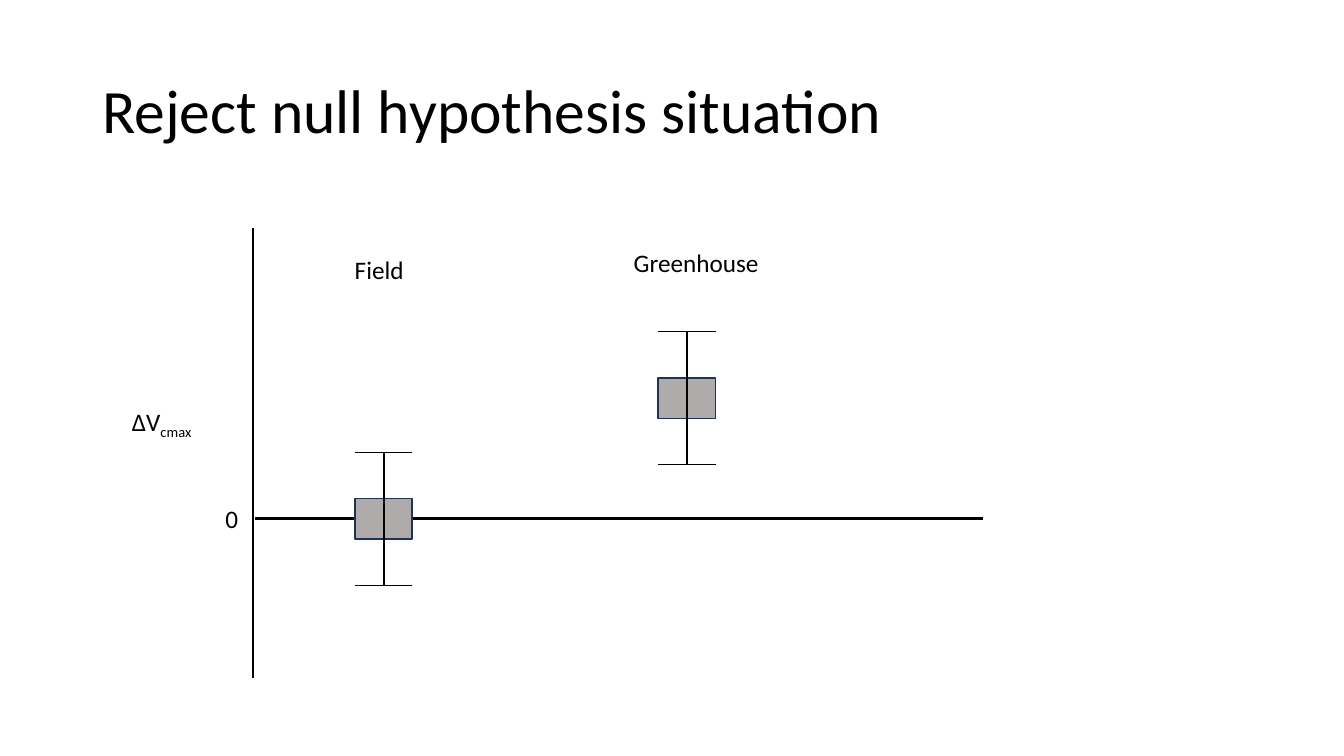
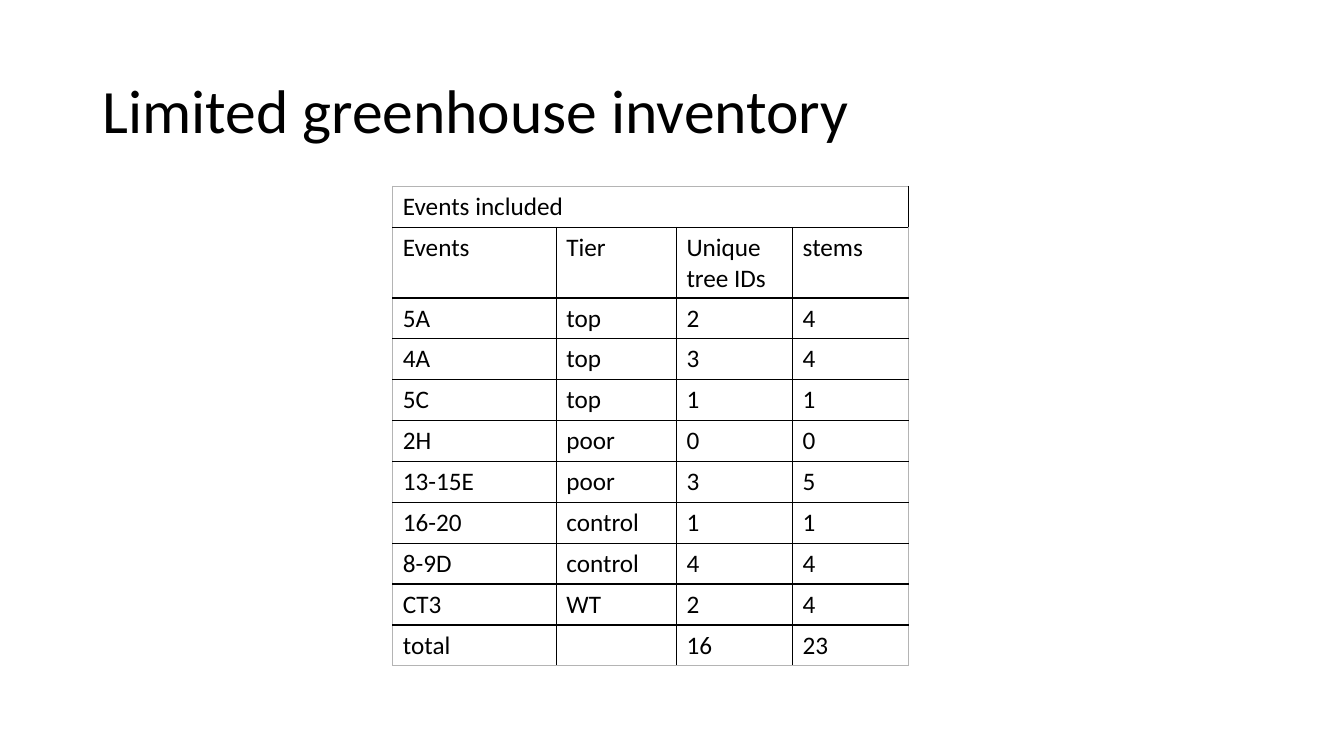
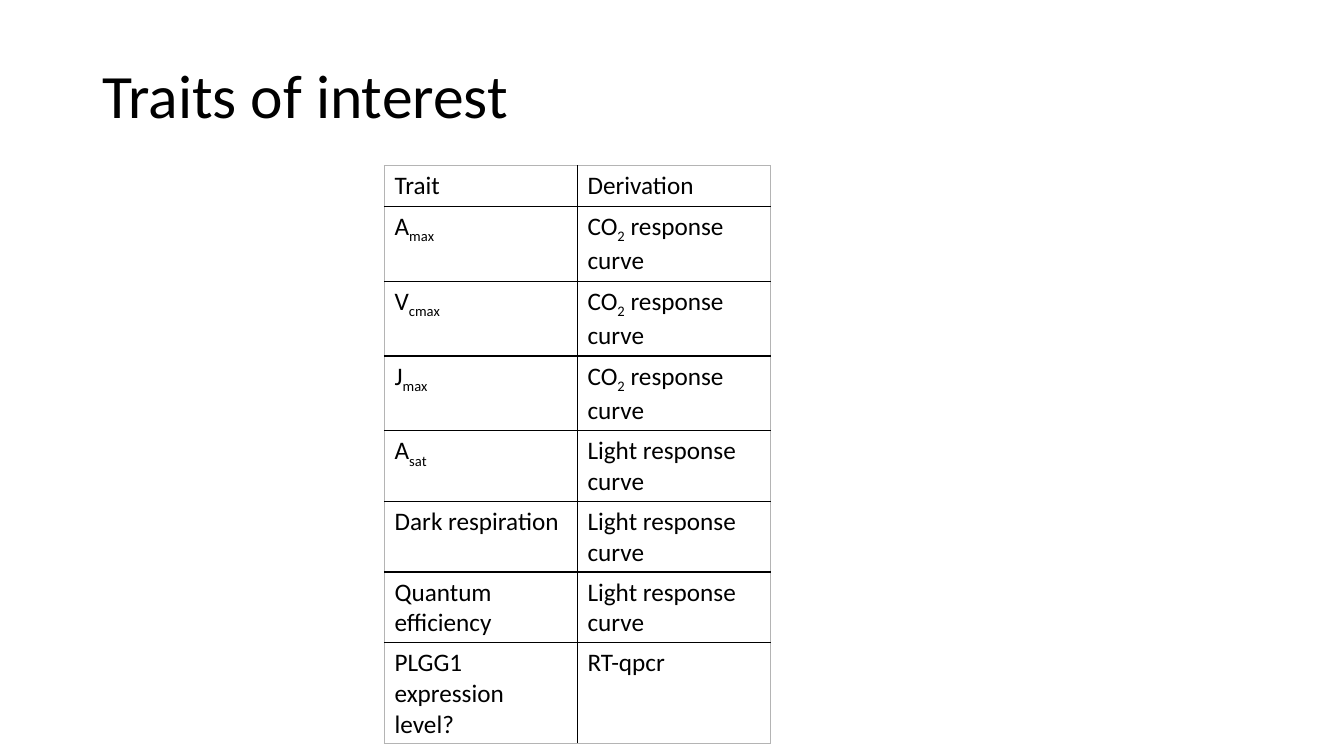
from lxml import etree
from pptx import Presentation
from pptx.dml.color import RGBColor
from pptx.enum import shapes, text
from pptx.oxml import ns
from pptx.util import Pt

COLORS = {"ink": "000000", "box": "AFABAB", "outline": "1E3256", "frame": "B4B4B4"}
FONT = "Calibri"
BODY_SIZE, TITLE_SIZE = 18, 44
ROW_HEIGHT = 29.2
LABEL_HEIGHT = 29


def rgb(name):
    return RGBColor.from_string(COLORS[name])


class Deck:
    """Holds the style and the slide being drawn."""

    def __init__(self):
        self.file = Presentation()
        self.file.slide_width, self.file.slide_height = Pt(960), Pt(540)
        self.page = None

    def new_page(self, title, top=29):
        self.page = self.file.slides.add_slide(self.file.slide_layouts[6])
        frame = self.text_box(title, 66, top, 828, 104.4, TITLE_SIZE)
        frame.word_wrap = True
        frame.vertical_anchor = text.MSO_ANCHOR.MIDDLE
        frame.paragraphs[0].line_spacing = 0.9

    def fill_para(self, para, words, size=BODY_SIZE):
        """Fill a paragraph; words between underscores become subscripts."""
        para.font.name, para.font.size = FONT, Pt(size)
        para.font.color.rgb = rgb("ink")
        for index, part in enumerate(words.split("_")):
            if part:
                span = para.add_run()
                span.text = part
                if index % 2:
                    span.font._element.set("baseline", "-25000")

    def text_box(self, words, left, top, width, height, size=BODY_SIZE):
        box = self.page.shapes.add_textbox(Pt(left), Pt(top), Pt(width), Pt(height))
        self.fill_para(box.text_frame.paragraphs[0], words, size)
        return box.text_frame

    def label(self, words, left, top, width):
        frame = self.text_box(words, left, top, width, LABEL_HEIGHT)
        frame.word_wrap = False
        frame.auto_size = text.MSO_AUTO_SIZE.SHAPE_TO_FIT_TEXT

    def line(self, x1, y1, x2, y2, weight):
        line = self.page.shapes.add_connector(
            shapes.MSO_CONNECTOR.STRAIGHT, Pt(x1), Pt(y1), Pt(x2), Pt(y2))
        line.line.color.rgb, line.line.width = rgb("ink"), Pt(weight)
        etree.SubElement(line._element.spPr, ns.qn("a:effectLst"))

    def error_bar(self, x, y, width=41, height=29, reach=47.4):
        """Draw a mean box centred on (x, y) with a capped stem."""
        left, right = x - width / 2, x + width / 2
        box = self.page.shapes.add_shape(
            shapes.MSO_SHAPE.RECTANGLE, Pt(left), Pt(y - height / 2), Pt(width), Pt(height))
        box.shadow.inherit = False
        box.fill.solid()
        box.fill.fore_color.rgb = rgb("box")
        box.line.color.rgb, box.line.width = rgb("outline"), Pt(1.25)
        self.line(x, y - reach, x, y + reach, 1.5)
        for cap in (y - reach, y + reach):
            self.line(left, cap, right, cap, 1)

    def border(self, cell, side, color):
        edge = etree.SubElement(
            cell._tc.get_or_add_tcPr(), ns.qn("a:ln" + side), w=str(Pt(1)))
        fill = etree.SubElement(edge, ns.qn("a:solidFill"))
        etree.SubElement(fill, ns.qn("a:srgbClr"), val=COLORS[color])

    def table(self, rows, left, top, widths):
        count = len(rows)
        table = self.page.shapes.add_table(
            count, len(widths), Pt(left), Pt(top),
            Pt(sum(widths)), Pt(ROW_HEIGHT * count)).table
        table.first_row = table.horz_banding = False
        for column, width in zip(table.columns, widths):
            column.width = Pt(width)
        for r, row in enumerate(rows):
            table.rows[r].height = Pt(ROW_HEIGHT)
            for c in range(len(widths)):
                cell = table.cell(r, c)
                outer = {"L": c == 0, "R": c == len(widths) - 1,
                         "T": r == 0, "B": r == count - 1}
                for side, is_outer in outer.items():
                    self.border(cell, side, "frame" if is_outer else "ink")
                cell.fill.background()
                if c < len(row):
                    self.fill_para(cell.text_frame.paragraphs[0], row[c])
            # A row with a single entry spans the table
            if len(row) == 1:
                table.cell(r, 0).merge(table.cell(r, len(widths) - 1))


def main():
    deck = Deck()

    # Slide 1: field and greenhouse effects around zero
    deck.new_page("Reject null hypothesis situation")
    axis_x, zero_y = 180.7, 370.6
    deck.line(axis_x, 163, axis_x, 484, 2)
    deck.line(702, zero_y, axis_x + 1.5, zero_y, 2)
    deck.label("∆V_cmax_", 87.2, 286.6, 62.6)
    deck.label("0", 154, 355.8, 23.8)
    deck.error_bar(274, zero_y)
    deck.label("Field", 246.3, 177.8, 49.7)
    deck.error_bar(490.6, 284.4)
    deck.label("Greenhouse", 445.6, 173.2, 105)

    # Slide 2: inventory
    deck.new_page("Limited greenhouse inventory")
    deck.table([
        ["Events included"],
        ["Events", "Tier", "Unique tree IDs", "stems"],
        ["5A", "top", "2", "4"],
        ["4A", "top", "3", "4"],
        ["5C", "top", "1", "1"],
        ["2H", "poor", "0", "0"],
        ["13-15E", "poor", "3", "5"],
        ["16-20", "control", "1", "1"],
        ["8-9D", "control", "4", "4"],
        ["CT3", "WT", "2", "4"],
        ["total", "", "16", "23"],
    ], 280.6, 133.2, [116.8, 85.8, 83, 83])

    # Slide 3: traits
    deck.new_page("Traits of interest", top=18)
    carbon, light = "CO_2_ response curve", "Light response curve"
    deck.table([
        ["Trait", "Derivation"],
        ["A_max_", carbon],
        ["V_cmax_", carbon],
        ["J_max_", carbon],
        ["A_sat_", light],
        ["Dark respiration", light],
        ["Quantum efficiency", light],
        ["PLGG1 expression level?", "RT-qpcr"],
    ], 274.7, 118.4, [137.8, 137.8])

    deck.file.save("out.pptx")


if __name__ == "__main__":
    main()
